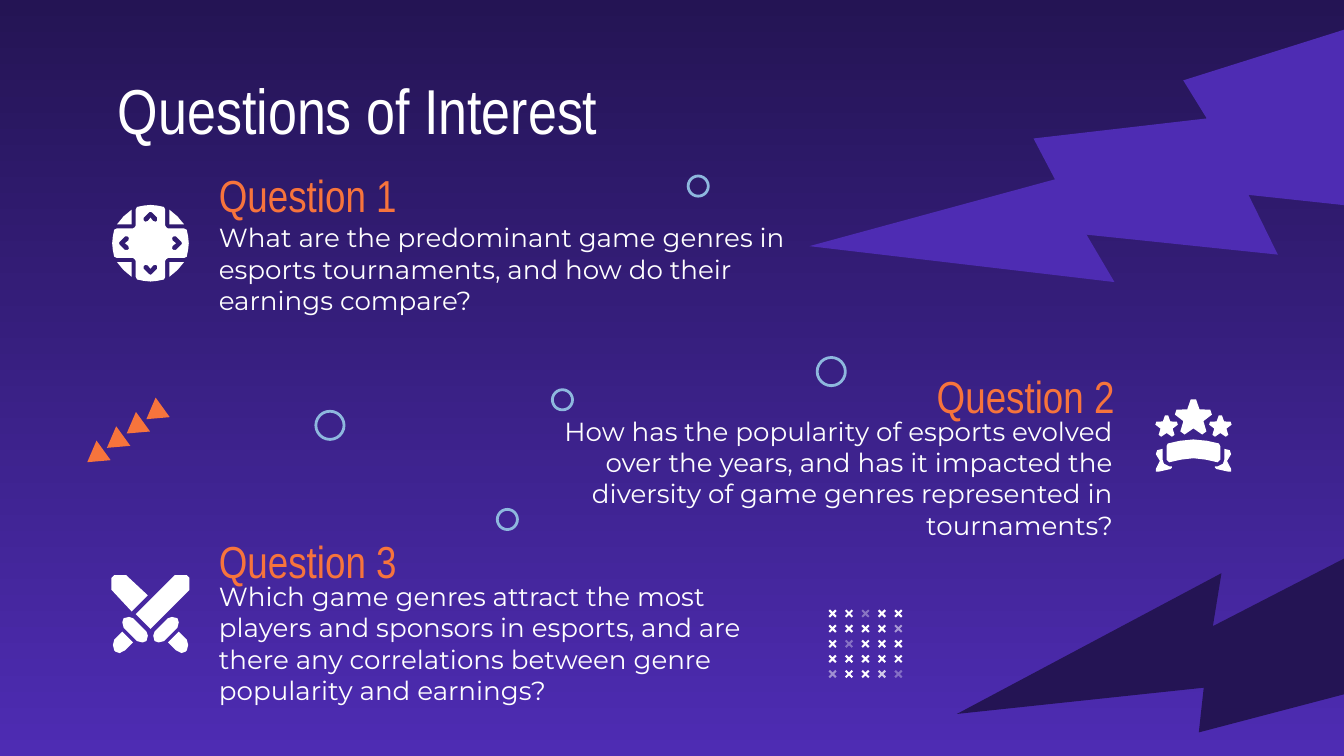
import math
from pptx import Presentation, util as u
from pptx.dml.color import RGBColor
from pptx.enum import shapes, text
from pptx.oxml.ns import qn
from lxml import etree

NIGHT = RGBColor(0x24, 0x14, 0x54)
VIOLET = RGBColor(0x4E, 0x2C, 0xB3)
ORANGE = RGBColor(0xF7, 0x74, 0x3C)
SKY = RGBColor(0x8E, 0xB8, 0xDE)
WHITE = RGBColor(0xFF, 0xFF, 0xFF)
HEAD, BODY = "Arial Narrow", "Montserrat"
LEFT, RIGHT = text.PP_ALIGN.LEFT, text.PP_ALIGN.RIGHT
TOP, MIDDLE = text.MSO_ANCHOR.TOP, text.MSO_ANCHOR.MIDDLE
SHAPE = shapes.MSO_SHAPE
WIDTH = u.Inches(10)
HEIGHT = WIDTH * 9 // 16

TITLE = "Questions of Interest"
QUESTIONS = [
    ("Question 1",
     "What are the predominant game genres in esports tournaments, "
     "and how do their earnings compare?",
     LEFT, (1.53, 1.23, 2.89, 0.44), (1.53, 1.78, 4.49, 0.44)),
    ("Question 2",
     "How has the popularity of esports evolved over the years, and has it "
     "impacted the diversity of game genres represented in tournaments?",
     RIGHT, (5.5, 2.72, 2.89, 0.44), (3.89, 3.17, 4.49, 0.77)),
    ("Question 3",
     "Which game genres attract the most players and sponsors in esports, and "
     "are there any correlations between genre popularity and earnings?",
     LEFT, (1.53, 3.95, 4.32, 0.44), (1.53, 4.4, 4.49, 0.77)),
]
RINGS = [(4.11, 2.9, 0.15), (6.08, 2.66, 0.21), (2.35, 3.06, 0.21),
         (3.7, 3.79, 0.15), (5.12, 1.31, 0.15)]
CROSS_ALPHA = {(0, 2): 36, (1, 4): 53, (2, 1): 34, (4, 0): 48, (4, 3): 75, (4, 4): 33}

PAD_CORNER = [(-14, -25), (-20, -20), (-25, -14), (-14, -14)]
PAD_ARM = [(-14, -10.5), (-12, -11.5), (-11, -13), (-11, -25), (-10, -27), (-5, -28),
           (0, -28.5), (5, -28), (10, -27), (11, -25), (11, -13), (12, -11.5)]
PAD_ARROW = [(0, -23.5), (1, -23), (5, -19), (5, -17), (4, -16), (2, -16.5), (0, -19),
             (-2, -16.5), (-4, -16), (-5, -17), (-5, -19), (-1, -23)]
POMMEL = [(21, 13), (13, 21), (19, 27), (21, 28), (23, 29), (26, 28), (27, 27),
          (28, 23), (27, 19)]
GUARD = [(16, 2), (13, 3), (3, 13), (2, 16), (3, 20), (6, 21), (10, 20), (20, 10),
         (21, 6), (20, 3)]
FRONT_BLADE = [(18, -29), (17, -28), (-11, 0), (0, 11), (28, -17), (29, -18),
               (29, -27), (27, -29)]
BACK_BLADE = [(-27, -29), (-29, -27), (-29, -18), (-28, -17), (-14, -2), (-2, -14),
              (-17, -28), (-18, -29)]
RIBBON_TAIL = [(23, 10), (23, 18), (22, 21), (18, 23), (16, 23), (16, 24), (17, 25),
               (26, 27), (28, 27), (28, 25), (25, 19), (28, 14), (27, 11)]
RIBBON = [(0, 3), (-10, 4), (-19, 6), (-20, 8), (-20, 18), (-18, 20), (-9, 18), (0, 17),
          (9, 18), (18, 20), (20, 18), (20, 8), (19, 6), (10, 4)]


def mirror(pts):
    return [(-x, y) for x, y in pts]


def turns(pts):
    result = [pts]
    for _ in range(3):
        result.append([(-y, x) for x, y in result[-1]])
    return result


def star(cx, cy, radius):
    pts = []
    for k in range(5):
        for angle, share in ((-8, 1), (8, 1), (36, 0.56)):
            a = math.radians(72 * k + angle)
            pts.append((cx + radius * share * math.sin(a), cy - radius * share * math.cos(a)))
    return pts


def paint(sp, fill=None, line=None, alpha=None):
    sp.shadow.inherit = False
    if fill is None:
        sp.fill.background()
    else:
        sp.fill.solid()
        sp.fill.fore_color.rgb = fill
    if alpha:
        clr = sp.element.spPr.find(qn("a:solidFill"))[0]
        etree.SubElement(clr, qn("a:alpha")).set("val", str(alpha * 1000))
    if line is None:
        sp.line.fill.background()
    else:
        sp.line.color.rgb = line
        sp.line.width = u.Pt(1.5)


def add_preset(s, kind, box, rotation=0, adj=None, **look):
    sp = s.shapes.add_shape(kind, *map(u.Inches, box))
    sp.rotation = rotation
    if adj is not None:
        sp.adjustments[0] = adj
    paint(sp, **look)
    return sp


def add_outline(s, centre, *contours):
    placed = [[(u.Inches(centre[0] + x / 100), u.Inches(centre[1] + y / 100))
               for x, y in pts] for pts in contours]
    fb = s.shapes.build_freeform(*placed[0][0])
    for i, pts in enumerate(placed):
        if i:
            fb.move_to(*pts[0])
        fb.add_line_segments(pts[1:], close=True)
    paint(fb.convert_to_shape(), fill=WHITE)


def add_text(s, words, box, size, font, color, align=LEFT, anchor=MIDDLE):
    tf = s.shapes.add_textbox(*map(u.Inches, box)).text_frame
    tf.word_wrap = True
    tf.vertical_anchor = anchor
    tf.margin_left = tf.margin_right = tf.margin_top = tf.margin_bottom = u.Inches(0.1)
    p = tf.paragraphs[0]
    p.alignment = align
    r = p.add_run()
    r.text = words
    r.font.size = u.Pt(size)
    r.font.name = font
    r.font.color.rgb = color


def main():
    prs = Presentation()
    prs.slide_width, prs.slide_height = WIDTH, HEIGHT
    s = prs.slides.add_slide(prs.slide_layouts[6])
    bg = s.background.fill
    bg.gradient()
    bg.gradient_angle = 270
    for stop, color in zip(bg.gradient_stops, (NIGHT, VIOLET)):
        stop.color.rgb = color

    bolt = add_preset(s, SHAPE.LIGHTNING_BOLT, (6.76, -0.39, 3.69, 3.69), 36.7, fill=VIOLET)
    bolt.element.spPr.xfrm.set("flipH", "1")
    add_preset(s, SHAPE.LIGHTNING_BOLT, (7.8, 2.94, 3.6, 3.6), 122, fill=NIGHT)

    add_text(s, TITLE, (0.78, 0.43, 8.43, 0.64), 34, HEAD, WHITE, anchor=TOP)
    for heading, question, align, heading_box, question_box in QUESTIONS:
        add_text(s, heading, heading_box, 24, HEAD, ORANGE, align)
        add_text(s, question, question_box, 14, BODY, WHITE, align)

    pad = [pt for arm in turns(PAD_ARM) for pt in arm]
    icons = [
        ((1.12, 4.57), [[POMMEL], [GUARD], [mirror(POMMEL)], [BACK_BLADE],
                        [FRONT_BLADE], [mirror(GUARD)]]),
        ((8.88, 3.24), [[RIBBON_TAIL], [mirror(RIBBON_TAIL)], [RIBBON], [star(20, -6.5, 8.5)],
                        [star(0, -13, 14)], [star(-20, -6.5, 8.5)]]),
        ((1.12, 1.81), [[c] for c in turns(PAD_CORNER)] + [[pad, *turns(PAD_ARROW)]]),
    ]
    for centre, parts in icons:
        for contours in parts:
            add_outline(s, centre, *contours)

    for row in range(5):
        for col in range(5):
            box = (6.16 + 0.49 * col / 4, 4.53 + 0.45 * row / 4, 0.07, 0.07)
            add_preset(s, SHAPE.CROSS, box, 315, 0.39, fill=WHITE,
                       alpha=CROSS_ALPHA.get((row, col)))
    for i in range(4):
        box = (1.06 - 0.44 * i / 3, 3 + 0.32 * i / 3, 0.18, 0.15)
        add_preset(s, SHAPE.ISOSCELES_TRIANGLE, box, 234.2, fill=ORANGE)
    for x, y, size in RINGS:
        add_preset(s, SHAPE.OVAL, (x, y, size, size), line=SKY)

    prs.save("out.pptx")


if __name__ == "__main__":
    main()
